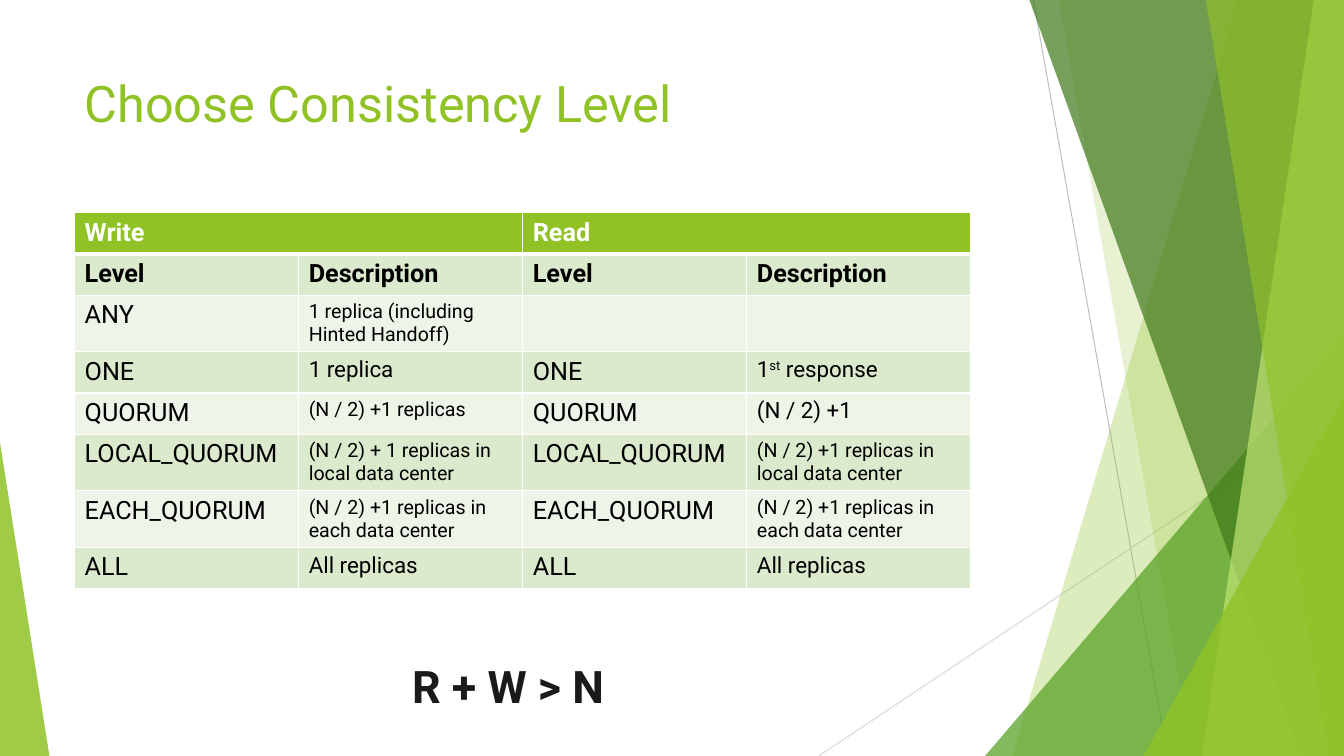
import lxml.etree
import pptx
import pptx.dml.color
import pptx.enum.shapes
import pptx.enum.text
import pptx.oxml
import pptx.oxml.ns
import pptx.util

Inches = pptx.util.Inches
FONT = "Roboto"
GREEN = "90C226"
WIDTH, HEIGHT = 13.33, 7.5

HEADER = ["Write", "Read"]
# Each cell holds its text and its size in points
ROWS = [
    [("Level", 18), ("Description", 18), ("Level", 18), ("Description", 18)],
    [("ANY", 18), ("1 replica (including Hinted Handoff)", 14), ("", 18), ("", 18)],
    [("ONE", 18), ("1 replica", 16), ("ONE", 18), ("1st response", 16)],
    [("QUORUM", 18), ("(N / 2) +1 replicas", 14), ("QUORUM", 18), ("(N / 2) +1", 16)],
    [("LOCAL_QUORUM", 18), ("(N / 2) + 1 replicas in local data center", 14),
     ("LOCAL_QUORUM", 18), ("(N / 2) +1 replicas in local data center", 14)],
    [("EACH_QUORUM", 18), ("(N / 2) +1 replicas in each data center", 14),
     ("EACH_QUORUM", 18), ("(N / 2) +1 replicas in each data center", 14)],
    [("ALL", 18), ("All replicas", 16), ("ALL", 18), ("All replicas", 16)],
]


def color(hex_string):
    return pptx.dml.color.RGBColor.from_string(hex_string)


def add_child(parent, tag, **attributes):
    child = lxml.etree.SubElement(parent, pptx.oxml.ns.qn(tag))
    for name, value in attributes.items():
        child.set(name, str(value))
    return child


def format_run(run, size, hex_string, bold=False):
    run.font.name = FONT
    run.font.size = pptx.util.Pt(size)
    run.font.bold = bold
    run.font.color.rgb = color(hex_string)


def style_facet(shape, hex_string, opacity):
    shape.shadow.inherit = False
    shape.line.fill.background()
    shape.fill.solid()
    shape.fill.fore_color.rgb = color(hex_string)
    fill = shape.fill._xPr.find(pptx.oxml.ns.qn("a:solidFill"))
    add_child(fill[0], "a:alpha", val=opacity * 1000)


def add_line(slide, start, end, hex_string):
    line = slide.shapes.add_connector(
        pptx.enum.shapes.MSO_CONNECTOR.STRAIGHT,
        *[Inches(value) for value in start + end])
    line.line.color.rgb = color(hex_string)
    line.line.width = pptx.util.Pt(0.75)
    add_child(line._element.spPr, "a:effectLst")


def add_band(slide, top_left, bottom_left, hex_string, opacity):
    """Full-height band whose slanted left edge runs to the right slide edge."""
    builder = slide.shapes.build_freeform(Inches(top_left), 0)
    corners = [(WIDTH, 0), (WIDTH, HEIGHT), (bottom_left, HEIGHT)]
    builder.add_line_segments([(Inches(x), Inches(y)) for x, y in corners])
    style_facet(builder.convert_to_shape(), hex_string, opacity)


def add_corner(slide, left, top, width, apex, hex_string, opacity):
    """Triangle standing on the bottom edge of the slide."""
    triangle = slide.shapes.add_shape(
        pptx.enum.shapes.MSO_SHAPE.ISOSCELES_TRIANGLE,
        Inches(left), Inches(top), Inches(width), Inches(HEIGHT - top))
    triangle.adjustments[0] = apex
    style_facet(triangle, hex_string, opacity)


def add_backdrop(slide):
    add_line(slide, (10.25, 0), (11.58, HEIGHT), "BFBFBF")
    add_line(slide, (WIDTH, 4.03), (8.12, HEIGHT), "D9D9D9")
    add_band(slide, 12.28, 10.04, GREEN, 30)
    add_band(slide, 10.5, 11.83, GREEN, 20)
    add_corner(slide, 9.77, 3.33, 3.56, 1, "54A021", 72)
    add_band(slide, 10.21, 12.91, "3F7819", 70)
    add_band(slide, 13.03, 11.92, "C0E474", 70)
    add_band(slide, 11.96, 13.18, GREEN, 65)
    add_corner(slide, 11.34, 3.93, 1.99, 1, GREEN, 80)
    add_corner(slide, 0, 4.39, 0.49, 0, GREEN, 85)


def add_title(slide, left, top, width, height):
    title = slide.shapes.title
    title.left, title.top = Inches(left), Inches(top)
    title.width, title.height = Inches(width), Inches(height)
    frame = title.text_frame
    frame.text = "Choose Consistency Level"
    frame.vertical_anchor = pptx.enum.text.MSO_ANCHOR.TOP
    frame.paragraphs[0].alignment = pptx.enum.text.PP_ALIGN.LEFT
    format_run(frame.paragraphs[0].runs[0], 36, GREEN)


def set_borders(cell, top, bottom):
    properties = cell._tc.get_or_add_tcPr()
    widths = [("a:lnL", 1), ("a:lnR", 1), ("a:lnT", top), ("a:lnB", bottom)]
    for index, (tag, points) in enumerate(widths):
        border = add_child(properties, tag, w=pptx.util.Pt(points))
        add_child(add_child(border, "a:solidFill"), "a:srgbClr", val="FFFFFF")
        properties.insert(index, border)


def fill_cell(cell, text, size, text_color, fill_color, bold):
    cell.fill.solid()
    cell.fill.fore_color.rgb = color(fill_color)
    paragraph = cell.text_frame.paragraphs[0]
    # The ordinal ending is raised
    before, ordinal, after = text.partition("st ")
    pieces = [before, "st", " " + after] if ordinal else [text]
    for piece in filter(None, pieces):
        run = paragraph.add_run()
        run.text = piece
        format_run(run, size, text_color, bold)
        if piece == "st":
            run.font._element.set("baseline", "30000")
    if not text:
        paragraph.font.size = pptx.util.Pt(size)


def add_level_table(slide, left, top, width, row_height):
    row_count = len(ROWS) + 1
    table = slide.shapes.add_table(
        row_count, 4, Inches(left), Inches(top),
        Inches(width), Inches(row_height * row_count)).table
    for row in table.rows:
        row.height = Inches(row_height)
    # Header row, each heading over two columns
    for index, heading in enumerate(HEADER):
        first, second = table.cell(0, 2 * index), table.cell(0, 2 * index + 1)
        first.merge(second)
        fill_cell(first, heading, 18, "FFFFFF", GREEN, True)
        for cell in (first, second):
            set_borders(cell, 1, 3)
    # Banded body
    for row, values in enumerate(ROWS, start=1):
        fill_color = "DBE9CD" if row % 2 else "EEF4E8"
        for column, (text, size) in enumerate(values):
            cell = table.cell(row, column)
            fill_cell(cell, text, size, "000000", fill_color, row == 1)
            set_borders(cell, 3 if row == 1 else 1, 1)


def add_formula(slide, left, top, width, height):
    box = slide.shapes.add_textbox(
        Inches(left), Inches(top), Inches(width), Inches(height))
    box.text_frame.text = "R + W > N"
    format_run(box.text_frame.paragraphs[0].runs[0], 32, "1A1A1A", True)


def main():
    presentation = pptx.Presentation()
    presentation.slide_width = Inches(WIDTH)
    presentation.slide_height = Inches(HEIGHT)
    slide = presentation.slides.add_slide(presentation.slide_layouts[5])
    add_backdrop(slide)
    add_title(slide, 0.74, 0.67, 9.4, 1.44)
    add_level_table(slide, 0.74, 2.11, 8.89, 0.41)
    add_formula(slide, 3.99, 6.49, 2.22, 0.64)
    presentation.save("out.pptx")


if __name__ == "__main__":
    main()
